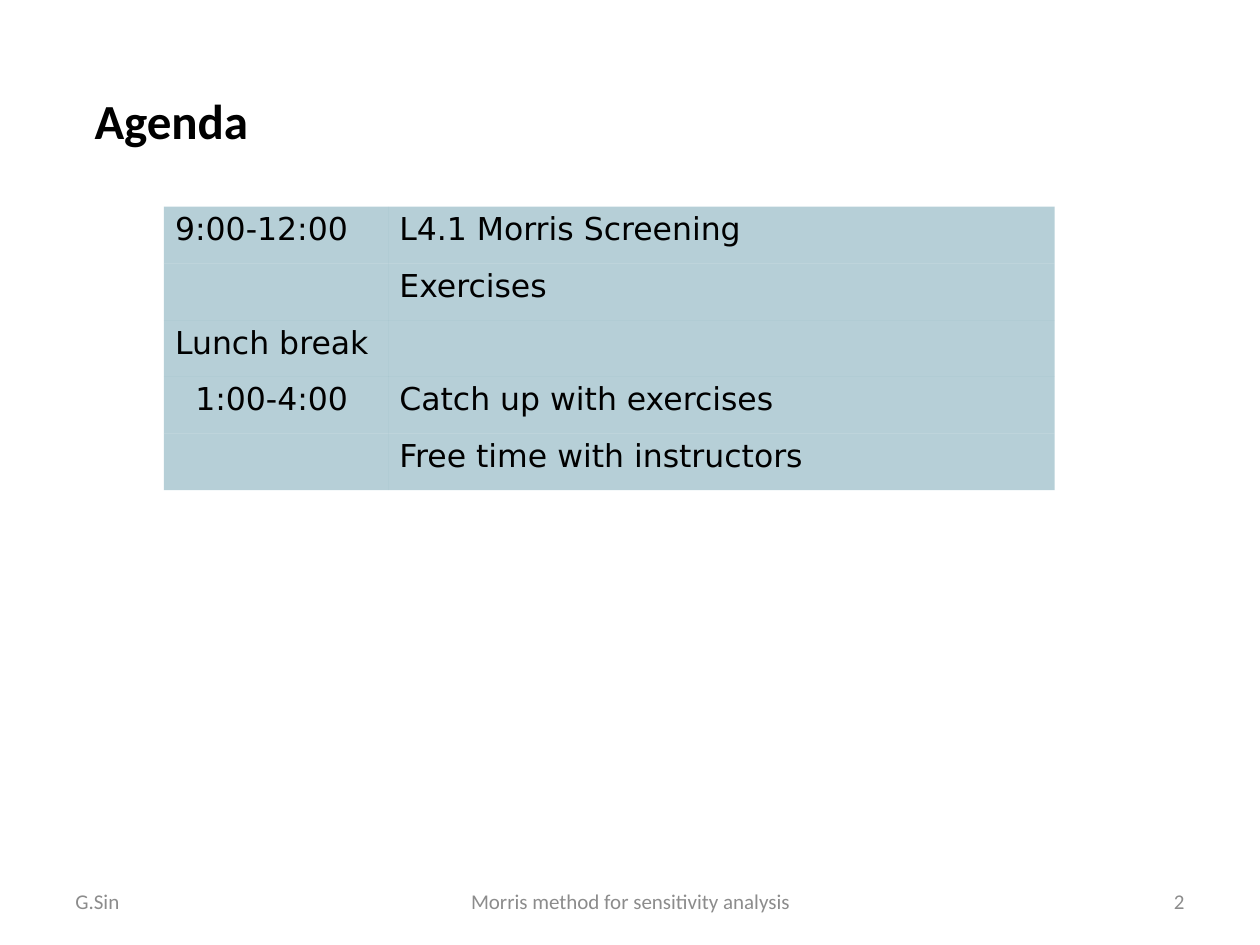
import pptx
import pptx.util
import pptx.dml.color
import pptx.enum.text
import pptx.oxml
import pptx.oxml.ns

Inches = pptx.util.Inches
ALIGN = pptx.enum.text.PP_ALIGN
MIDDLE = pptx.enum.text.MSO_ANCHOR.MIDDLE
COLORS = {"text": "000000", "cell": "6EA0B0", "footer": "8C8C8C"}
NO_STYLE = "{2D5ABB26-0587-4C30-8999-92F81FD0307C}"


def add_run(paragraph, text, font, size, color, bold=False):
    run = paragraph.add_run()
    run.text = text
    run.font.name = font
    run.font.size = pptx.util.Pt(size)
    run.font.bold = bold
    run.font.color.rgb = pptx.dml.color.RGBColor.from_string(COLORS[color])


presentation = pptx.Presentation()
presentation.slide_width = Inches(10)
presentation.slide_height = Inches(7.5)
slide = presentation.slides.add_slide(presentation.slide_layouts[5])

# Title
title = slide.shapes.title
title.left, title.top = Inches(0.67), Inches(0.33)
title.width, title.height = Inches(8.5), Inches(1.25)
frame = title.text_frame
frame.vertical_anchor = MIDDLE
frame.margin_left = frame.margin_right = Inches(0.08)
frame.margin_top = frame.margin_bottom = Inches(0.04)
frame.paragraphs[0].alignment = ALIGN.LEFT
add_run(frame.paragraphs[0], "Agenda", "Calibri", 28, "text", bold=True)

# Agenda table
agenda = [
    ("9:00-12:00", "L4.1 Morris Screening"),
    ("", "Exercises"),
    ("Lunch break", ""),
    ("1:00-4:00", "Catch up with exercises"),
    ("", "Free time with instructors"),
]
table_shape = slide.shapes.add_table(
    len(agenda), 2, Inches(1.3), Inches(1.64), Inches(7.07), Inches(2.25))
table = table_shape.table
table.first_row = table.horz_banding = False
table_shape.element.xpath(".//a:tableStyleId")[0].text = NO_STYLE
table.columns[0].width = Inches(1.78)
table.columns[1].width = Inches(5.29)

for row_index, texts in enumerate(agenda):
    table.rows[row_index].height = Inches(0.45)
    for column_index, text in enumerate(texts):
        cell = table.cell(row_index, column_index)
        cell.margin_left = cell.margin_right = Inches(0.09)
        cell.margin_top = cell.margin_bottom = Inches(0.04)
        cell.fill.solid()
        cell.fill.fore_color.rgb = pptx.dml.color.RGBColor.from_string(COLORS["cell"])
        # Half-transparent fill
        color_element = table_shape.element.xpath(".//a:tcPr/a:solidFill/a:srgbClr")[-1]
        alpha = pptx.oxml.parse_xml(
            f'<a:alpha {pptx.oxml.ns.nsdecls("a")} val="50000"/>')
        color_element.append(alpha)
        if text:
            add_run(cell.text_frame.paragraphs[0], text, "DejaVu Sans", 18, "text")

# The afternoon time is indented to line up with the morning
table.cell(3, 0).margin_left = Inches(0.25)

# Footer: author, slide number, topic
footers = [
    (0.5, 2.33, "G.Sin", ALIGN.LEFT),
    (7.17, 2.33, "2", ALIGN.RIGHT),
    (3.42, 3.17, "Morris method for sensitivity analysis", ALIGN.CENTER),
]
for left, width, text, alignment in footers:
    shape = slide.shapes.add_textbox(Inches(left), Inches(6.95), Inches(width), Inches(0.4))
    shape.text_frame.word_wrap = True
    shape.text_frame.vertical_anchor = MIDDLE
    paragraph = shape.text_frame.paragraphs[0]
    paragraph.alignment = alignment
    add_run(paragraph, text, "Calibri", 12, "footer")

presentation.save("out.pptx")
